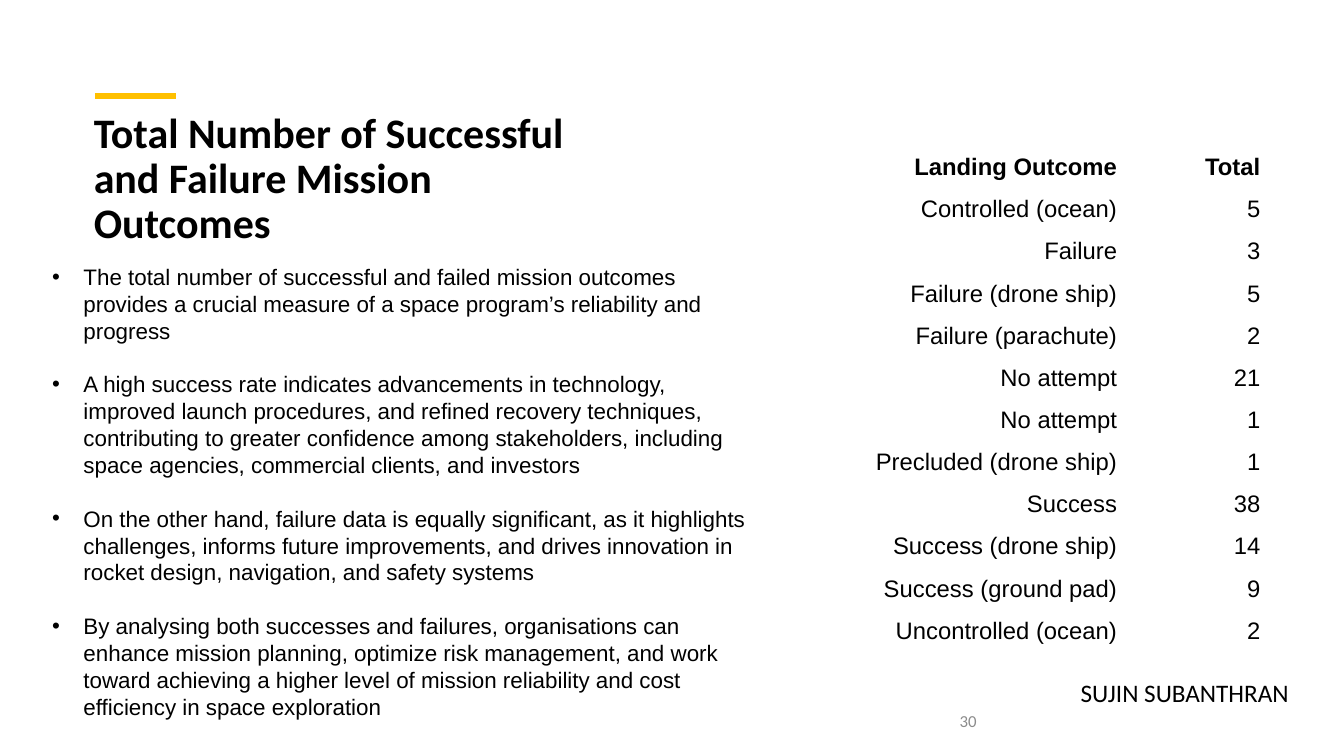
from lxml import etree
from pptx import Presentation
from pptx.dml.color import RGBColor
from pptx.enum.shapes import MSO_CONNECTOR as Line
from pptx.enum.text import MSO_ANCHOR as Anchor, PP_ALIGN as Align
from pptx.oxml.ns import qn
from pptx.util import Inches, Pt

BLACK = RGBColor(0, 0, 0)
GREY = RGBColor(0x8C, 0x8C, 0x8C)
GOLD = RGBColor(0xFF, 0xC0, 0x00)

POINTS = [
    "The total number of successful and failed mission outcomes provides a crucial "
    "measure of a space program’s reliability and progress",
    "A high success rate indicates advancements in technology, improved launch "
    "procedures, and refined recovery techniques, contributing to greater confidence "
    "among stakeholders, including space agencies, commercial clients, and investors",
    "On the other hand, failure data is equally significant, as it highlights "
    "challenges, informs future improvements, and drives innovation in rocket design, "
    "navigation, and safety systems",
    "By analysing both successes and failures, organisations can enhance mission "
    "planning, optimize risk management, and work toward achieving a higher level of "
    "mission reliability and cost efficiency in space exploration",
]
ROWS = [
    ("Landing Outcome", "Total"),
    ("Controlled (ocean)", 5),
    ("Failure", 3),
    ("Failure (drone ship)", 5),
    ("Failure (parachute)", 2),
    ("No attempt", 21),
    ("No attempt", 1),
    ("Precluded (drone ship)", 1),
    ("Success", 38),
    ("Success (drone ship)", 14),
    ("Success (ground pad)", 9),
    ("Uncontrolled (ocean)", 2),
]


def style(para, size, face="Calibri", color=BLACK, bold=False):
    font = para.font
    font.size, font.name, font.bold = Pt(size), face, bold
    font.color.rgb = color


def add_box(left, top, width, height, anchor=Anchor.TOP):
    box = slide.shapes.add_textbox(
        Inches(left), Inches(top), Inches(width), Inches(height))
    frame = box.text_frame
    frame.word_wrap = True
    frame.vertical_anchor = anchor
    return frame


deck = Presentation()
deck.slide_width, deck.slide_height = Inches(13.33), Inches(7.5)
slide = deck.slides.add_slide(deck.slide_layouts[5])

# Title with its gold accent
title = slide.shapes.title
title.left, title.top = Inches(0.83), Inches(1.06)
title.width, title.height = Inches(4.97), Inches(1.53)
title.text_frame.vertical_anchor = Anchor.TOP
title.text_frame.text = "Total Number of Successful and Failure Mission Outcomes"
para = title.text_frame.paragraphs[0]
para.alignment = Align.LEFT
para.line_spacing = 0.9
para.space_after = Pt(6)
style(para, 30, bold=True)

accent = slide.shapes.add_connector(
    Line.STRAIGHT, Inches(0.94), Inches(0.95), Inches(1.75), Inches(0.95))
accent.line.color.rgb = GOLD
accent.line.width = Pt(4.5)
etree.SubElement(accent.element.spPr, qn("a:effectLst"))

# Outcome table
grid = slide.shapes.add_table(
    len(ROWS), 2, Inches(6.77), Inches(1.45), Inches(5.83), Inches(5.02)).table
grid.first_row = grid.horz_banding = False
grid.columns[0].width, grid.columns[1].width = Inches(4.41), Inches(1.42)
for r, row in enumerate(ROWS):
    for c, value in enumerate(row):
        cell = grid.cell(r, c)
        cell.fill.background()
        cell.vertical_anchor = Anchor.MIDDLE
        cell.text = str(value)
        para = cell.text_frame.paragraphs[0]
        para.alignment = Align.RIGHT
        style(para, 17, "Arial", bold=r == 0)

# Bulleted commentary
body = add_box(0.42, 2.56, 7.2, 4.8)
for i, point in enumerate(POINTS):
    para = body.paragraphs[0] if i == 0 else body.add_paragraph()
    para.text = point
    props = para._p.get_or_add_pPr()
    props.set("marL", str(Inches(0.31)))
    props.set("indent", str(-Inches(0.31)))
    etree.SubElement(props, qn("a:buFont"), typeface="Arial")
    etree.SubElement(props, qn("a:buChar"), char="•")
    para.line_spacing = Pt(19.2)
    if i:
        para.space_before = Pt(19.2)
    style(para, 16, "Arial")

# Author and slide number
author = add_box(10.62, 6.67, 2.7, 0.4)
author.text = "SUJIN SUBANTHRAN"
style(author.paragraphs[0], 18)

number = add_box(9.42, 6.95, 3, 0.4, Anchor.MIDDLE)
number.text = "30"
style(number.paragraphs[0], 12, color=GREY)

deck.save("out.pptx")
